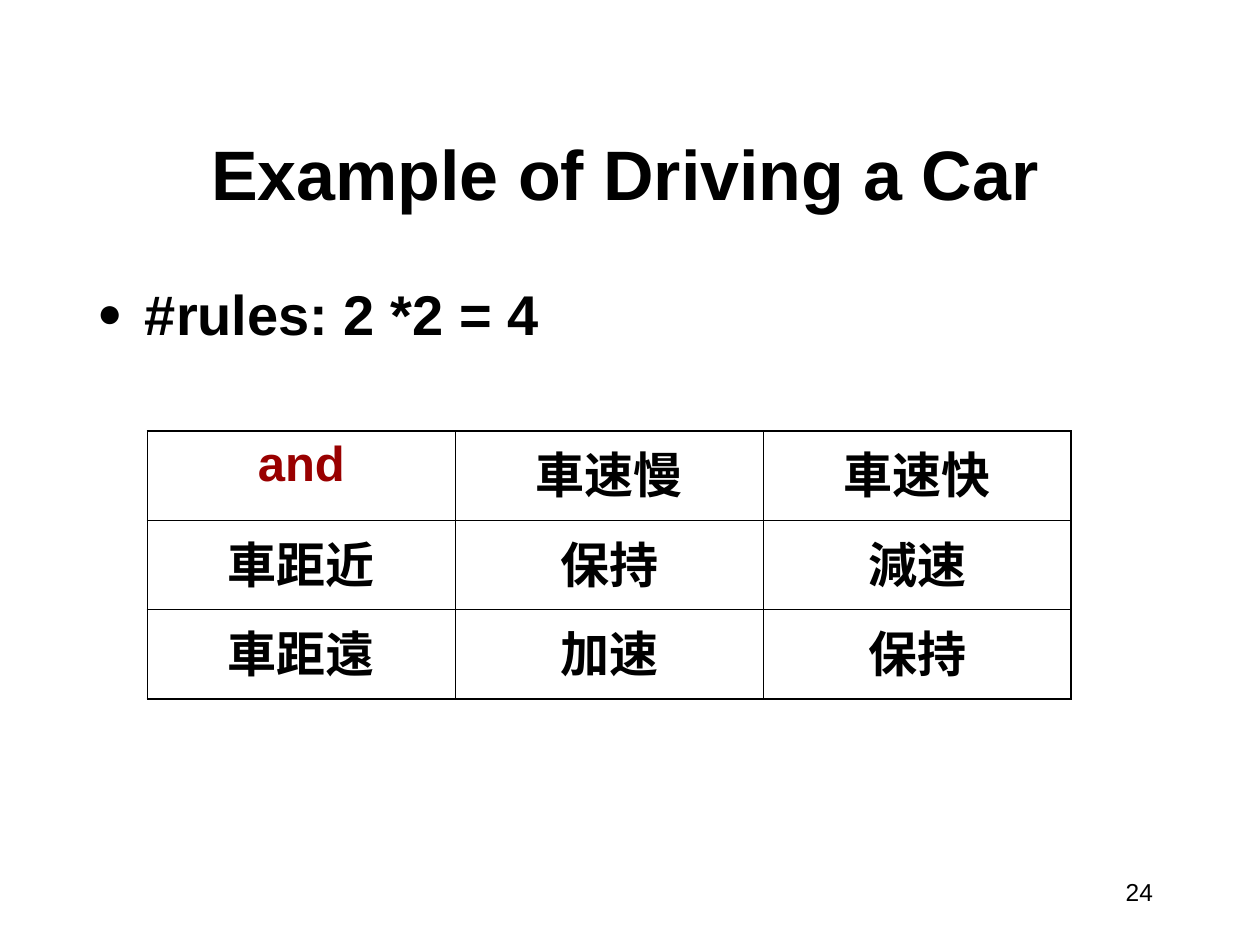
"""Build the slide with the rule table for driving a car."""
from lxml import etree
from pptx import Presentation
from pptx import util as u
from pptx.dml import color
from pptx.enum import text
from pptx.oxml import ns

COLORS = {"ink": "000000", "accent": "990000", "paper": "FFFFFF"}
FONT = "Arial"
TITLE = "Example of Driving a Car"
BULLET = "#rules: 2 *2 = 4"
PAGE_NUMBER = "24"
RULES = [
    ["and", "車速慢", "車速快"],
    ["車距近", "保持", "減速"],
    ["車距遠", "加速", "保持"],
]
PLACES = {
    "title": (0.67, 1, 8.58, 0.75),
    "body": (0.67, 2.17, 8.58, 0.75),
    "number": (8.58, 6.83, 0.67, 0.5),
    "table": (1.17, 3.42, 7.33, 2.13),
}
OUTER, INNER = 1.08, 0.45


def inches(name):
    return [u.Inches(length) for length in PLACES[name]]


def apply(target, values):
    for name, value in values.items():
        setattr(target, name, value)


def write(frame, words, size, align, bold=True, ink="ink"):
    para = frame.paragraphs[0]
    apply(para, {"alignment": align, "space_before": u.Pt(0)})
    span = para.add_run()
    span.text = words
    apply(span.font, {"name": FONT, "size": u.Pt(size), "bold": bold})
    span.font.color.rgb = color.RGBColor.from_string(COLORS[ink])
    return para


def place(box, name, anchor, wrap=True):
    apply(box, dict(zip(("left", "top", "width", "height"), inches(name))))
    apply(box.text_frame, {"word_wrap": wrap, "vertical_anchor": anchor,
                           "auto_size": text.MSO_AUTO_SIZE.NONE})
    return box.text_frame


def add_bullet(para):
    props = para._p.get_or_add_pPr()
    apply_indent = {"marL": u.Inches(0.38), "indent": -u.Inches(0.38)}
    for name, value in apply_indent.items():
        props.set(name, str(value))
    tint = etree.SubElement(props, ns.qn("a:buClr"))
    etree.SubElement(tint, ns.qn("a:srgbClr"), val=COLORS["ink"])
    etree.SubElement(props, ns.qn("a:buSzPct"), val="75000")
    etree.SubElement(props, ns.qn("a:buFont"), typeface=FONT)
    etree.SubElement(props, ns.qn("a:buChar"), char="●")


def add_borders(cell, widths):
    props = cell._tc.get_or_add_tcPr()
    for index, (side, width) in enumerate(widths.items()):
        line = etree.Element(ns.qn(f"a:ln{side}"), w=str(u.Pt(width)))
        fill = etree.SubElement(line, ns.qn("a:solidFill"))
        etree.SubElement(fill, ns.qn("a:srgbClr"), val=COLORS["ink"])
        props.insert(index, line)


def add_rules(page):
    rows, columns = len(RULES), len(RULES[0])
    table = page.shapes.add_table(rows, columns, *inches("table")).table
    apply(table, {"first_row": False, "horz_banding": False})
    for r, row in enumerate(RULES):
        for c, words in enumerate(row):
            cell = table.cell(r, c)
            cell.fill.solid()
            cell.fill.fore_color.rgb = color.RGBColor.from_string(COLORS["paper"])
            ink = "accent" if r == c == 0 else "ink"
            write(cell.text_frame, words, 28, text.PP_ALIGN.CENTER, ink=ink)
            edges = {"L": c == 0, "R": c == columns - 1,
                     "T": r == 0, "B": r == rows - 1}
            add_borders(cell, {side: OUTER if edge else INNER
                               for side, edge in edges.items()})


def main():
    deck = Presentation()
    apply(deck, {"slide_width": u.Inches(10), "slide_height": u.Inches(7.5)})
    page = deck.slides.add_slide(deck.slide_layouts[1])
    anchors, align = text.MSO_ANCHOR, text.PP_ALIGN
    number = page.shapes.add_textbox(*inches("number"))
    write(place(number, "number", anchors.MIDDLE, False),
          PAGE_NUMBER, 14, align.RIGHT, bold=False)
    write(place(page.shapes.title, "title", anchors.BOTTOM),
          TITLE, 40, align.CENTER)
    body = place(page.placeholders[1], "body", anchors.TOP)
    add_bullet(write(body, BULLET, 32, align.LEFT))
    add_rules(page)
    deck.save("out.pptx")


if __name__ == "__main__":
    main()
